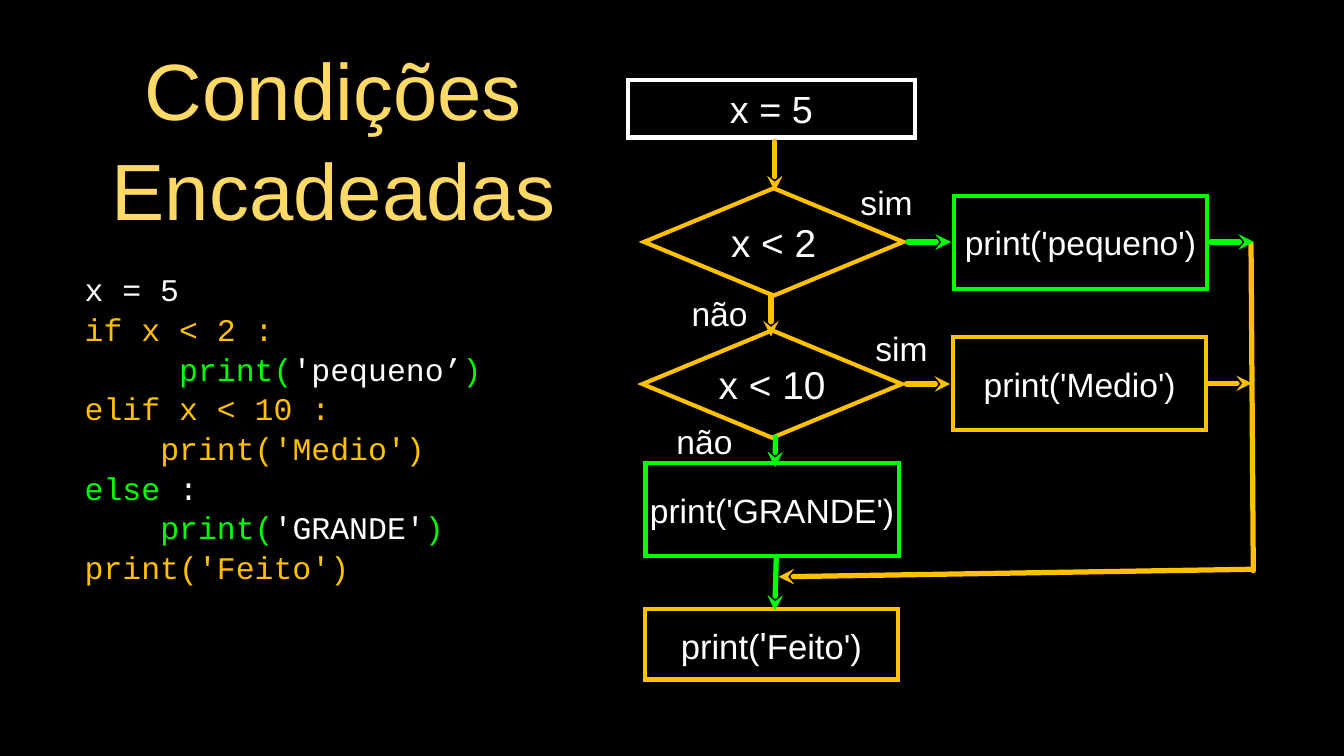
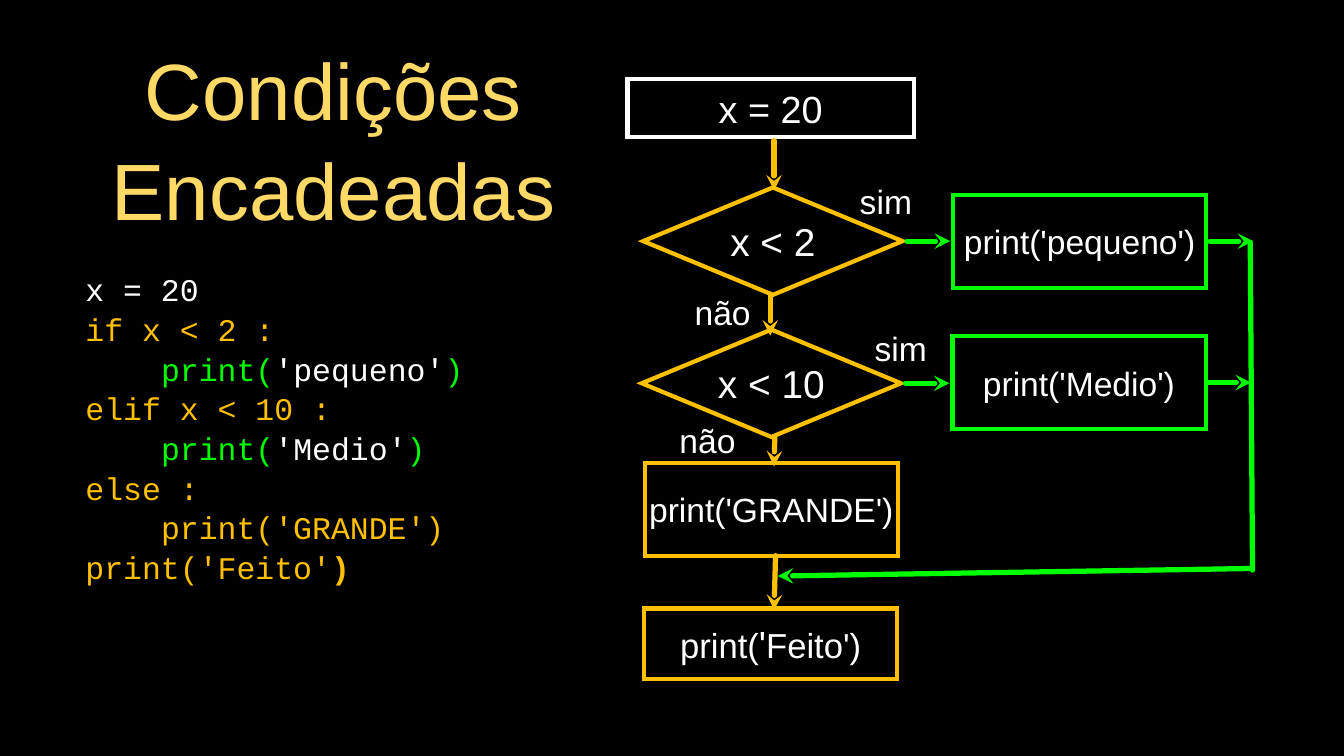
"""Builds two slides on chained conditions: code beside its flowchart."""
from lxml import etree
from pptx import Presentation
from pptx.dml.color import RGBColor
from pptx.enum.shapes import MSO_CONNECTOR, MSO_SHAPE
from pptx.enum.text import MSO_ANCHOR, PP_ALIGN
from pptx.oxml.ns import qn
from pptx.util import Inches, Pt

RECT, DIAMOND = MSO_SHAPE.RECTANGLE, MSO_SHAPE.DIAMOND
STRAIGHT = MSO_CONNECTOR.STRAIGHT
LEFT, CENTER = PP_ALIGN.LEFT, PP_ALIGN.CENTER
MIDDLE = MSO_ANCHOR.MIDDLE

BLACK, WHITE, AMBER, GREEN, GOLD = "000000", "FFFFFF", "FFC000", "00FF00", "FFD966"
SANS, MONO = "Arial", "Courier New"
CODE_SIZE = 30
CHAR_WIDTH = 0.6 * CODE_SIZE / 72

TITLE = "Condições Encadeadas"
TITLE_BOX = (1.26, 0.82, 6.3, 1.96)


def call(argument, quote="'"):
    return [("print(", GREEN), ("'" + argument + quote, WHITE), (")", GREEN)]


SLIDES = [
    {
        "start": "x = 5", "shift": 0, "no_width": 0.92,
        "medium": AMBER, "large": GREEN, "join": AMBER,
        "code_box": (1.12, 3.21, 5.58, 4.88),
        "code": [
            (0, [("x = 5", WHITE)]),
            (0, [("if x < 2 :", AMBER)]),
            (5, call("pequeno", "’")),
            (0, [("elif x < 10 :", AMBER)]),
            (4, [("print('Medio')", AMBER)]),
            (0, [("else", GREEN), (" :", WHITE)]),
            (4, call("GRANDE")),
            (0, [("print('Feito')", AMBER)]),
        ],
    },
    {
        "start": "x = 20", "shift": -0.01, "no_width": 0.82,
        "medium": GREEN, "large": AMBER, "join": GREEN,
        "code_box": (1.13, 3.21, 5.58, 4.88),
        "code": [
            (0, [("x = 20", WHITE)]),
            (0, [("if x < 2 :", AMBER)]),
            (4, call("pequeno")),
            (0, [("elif x < 10 :", AMBER)]),
            (4, call("Medio")),
            (0, [("else :", AMBER)]),
            (4, [("print('GRANDE')", AMBER)]),
            (0, [("print('Feito'", AMBER), (")", AMBER, True)]),
        ],
    },
]

FEITO = [("print(", 33), ("'", 36), ("Feito')", 33)]
STEP, TEST = (3.35, 1.23), (3.43, 1.42)


def rgb(value):
    return RGBColor.from_string(value)


def write(shape, lines, size=32, font=SANS, color=WHITE, align=CENTER, spacing=None, inset=0):
    """Fill a shape with lines, each an (indent, runs) pair; a run is a dict."""
    frame = shape.text_frame
    frame.word_wrap = True
    frame.vertical_anchor = MIDDLE
    frame.margin_left = frame.margin_right = Inches(inset)
    frame.margin_top = frame.margin_bottom = Inches(inset)
    for number, (indent, runs) in enumerate(lines):
        paragraph = frame.add_paragraph() if number else frame.paragraphs[0]
        paragraph.alignment = align
        if spacing:
            paragraph.line_spacing = spacing
        if indent:
            paragraph._p.get_or_add_pPr().set("marL", str(Inches(indent)))
        for part in runs:
            run = paragraph.add_run()
            run.text = part["text"]
            run.font.name = font
            run.font.size = Pt(part.get("size", size))
            run.font.bold = part.get("bold", False)
            run.font.color.rgb = rgb(part.get("color", color))


def plain(text):
    return [(0, [{"text": text}])]


def label(slide, box, lines, **style):
    write(slide.shapes.add_textbox(*map(Inches, box)), lines, **style)


def node(slide, kind, box, lines, outline, size=32):
    shape = slide.shapes.add_shape(kind, *map(Inches, box))
    shape.shadow.inherit = False
    shape.fill.background()
    shape.line.color.rgb = rgb(outline)
    shape.line.width = Pt(4)
    miter = etree.SubElement(shape.line._get_or_add_ln(), qn("a:miter"))
    miter.set("lim", "800000")
    write(shape, lines, size=size)


def connect(slide, points, color, arrow=True):
    link = slide.shapes.add_connector(STRAIGHT, *map(Inches, points))
    link.line.color.rgb = rgb(color)
    link.line.width = Pt(5)
    outline = link.line._get_or_add_ln()
    outline.set("cap", "rnd")
    if arrow:
        etree.SubElement(outline, qn("a:tailEnd")).set("type", "stealth")
    etree.SubElement(link._element.spPr, qn("a:effectLst"))


def draw_flow(slide, page):
    shift, medium, large, join = (page[key] for key in ("shift", "medium", "large", "join"))
    feito = [(0, [{"text": text, "size": size} for text, size in FEITO])]
    nodes = [
        (RECT, (8.31, 1.06), (3.79, 0.76), plain(page["start"]), WHITE, 36),
        (DIAMOND, (8.52, 2.49), TEST, plain("x < 2"), AMBER, 37),
        (RECT, (12.62, 2.59), STEP, plain("print('pequeno')"), GREEN, 32),
        (DIAMOND, (8.5, 4.37), TEST, plain("x < 10"), AMBER, 37),
        (RECT, (12.61, 4.46), STEP, plain("print('Medio')"), medium, 32),
        (RECT, (8.54, 6.13), STEP, plain("print('GRANDE')"), large, 32),
        (RECT, (8.53, 8.06), (3.35, 0.93), feito, AMBER, 33),
    ]
    arrows = [
        ((10.25, 1.87, 10.25, 2.53), AMBER),
        ((12.01, 3.2, 12.58, 3.2), GREEN),
        ((16.02, 3.2, 16.59, 3.2), GREEN),
        ((10.2, 3.9, 10.2, 4.45), AMBER),
        ((11.99, 5.08, 12.57, 5.08), medium),
        ((15.98, 5.07, 16.56, 5.07), medium),
        ((10.26, 5.78, 10.25, 6.18), large),
        ((10.27, 7.36, 10.25, 8.08), large),
        ((16.57, 7.53, 10.3, 7.63), join),
    ]
    no_width = page["no_width"]
    answers = [
        ("sim", (11.35, 2.4, 0.76, 0.54)),
        ("sim", (11.5, 4.34, 0.85, 0.54)),
        ("não", (9.98 - no_width, 3.82, no_width, 0.63)),
        ("não", (9.78 - no_width, 5.54, no_width, 0.59)),
    ]
    for kind, (left, top), size, lines, outline, points in nodes:
        node(slide, kind, (left + shift, top + shift, *size), lines, outline, points)
    connect(slide, [at + shift for at in (16.55, 3.22, 16.58, 7.55)], join, arrow=False)
    for ends, color in arrows:
        connect(slide, [at + shift for at in ends], color)
    for answer, (left, top, width, height) in answers:
        label(slide, (left + shift, top + shift, width, height), plain(answer))


def draw_code(slide, page):
    lines = []
    for indent, parts in page["code"]:
        runs = [{"text": text, "color": color, "bold": bool(bold)} for text, color, *bold in parts]
        lines.append((indent * CHAR_WIDTH, runs))
    label(slide, page["code_box"], lines, size=CODE_SIZE, font=MONO, align=LEFT, spacing=1.05)


def main():
    deck = Presentation()
    deck.slide_width, deck.slide_height = Inches(17.78), Inches(10)
    backdrop = deck.slide_master.background.fill
    backdrop.solid()
    backdrop.fore_color.rgb = rgb(BLACK)
    for page in SLIDES:
        slide = deck.slides.add_slide(deck.slide_layouts[6])
        label(slide, TITLE_BOX, plain(TITLE), size=76, color=GOLD, spacing=1.05, inset=0.04)
        draw_code(slide, page)
        draw_flow(slide, page)
    deck.save("out.pptx")


main()
